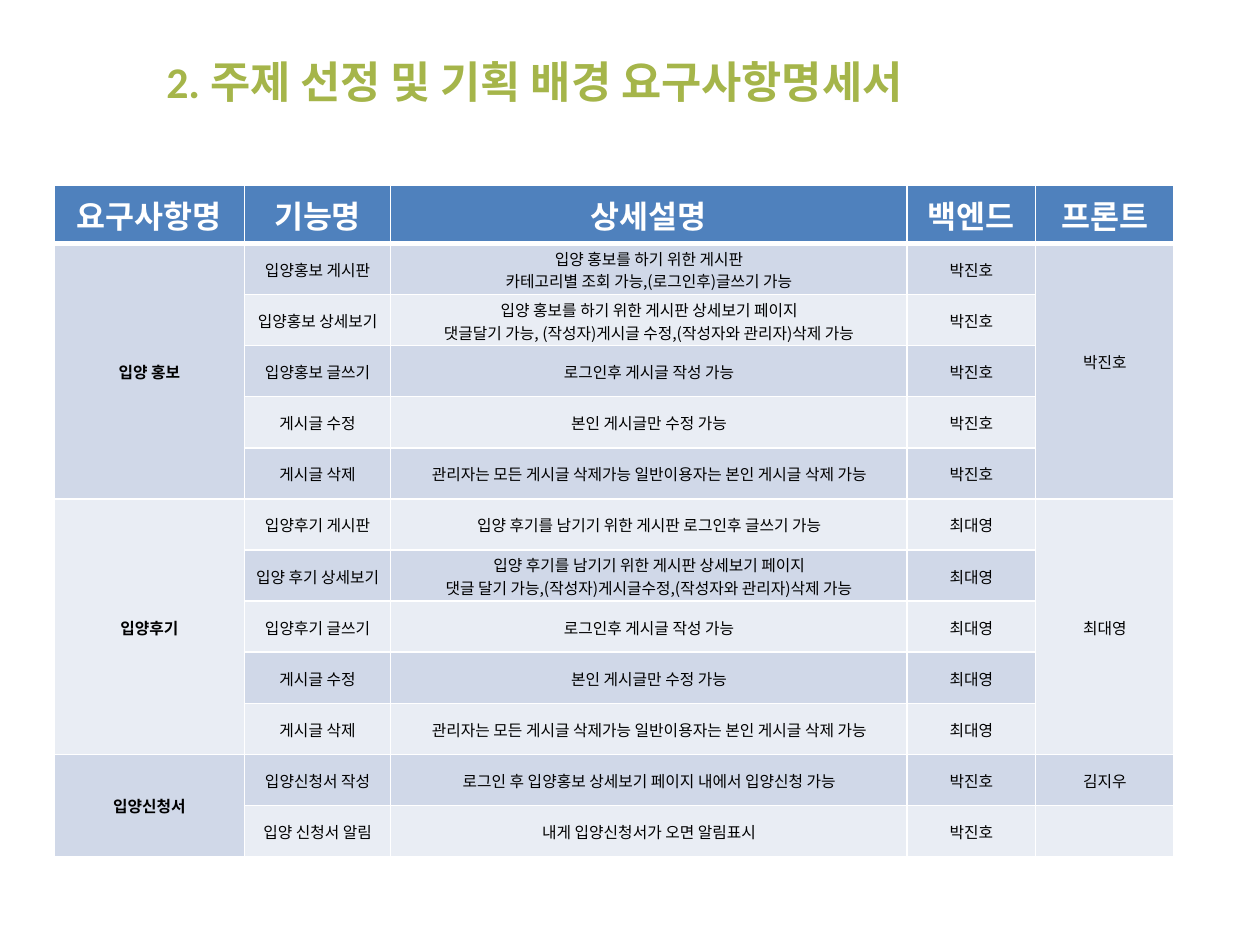
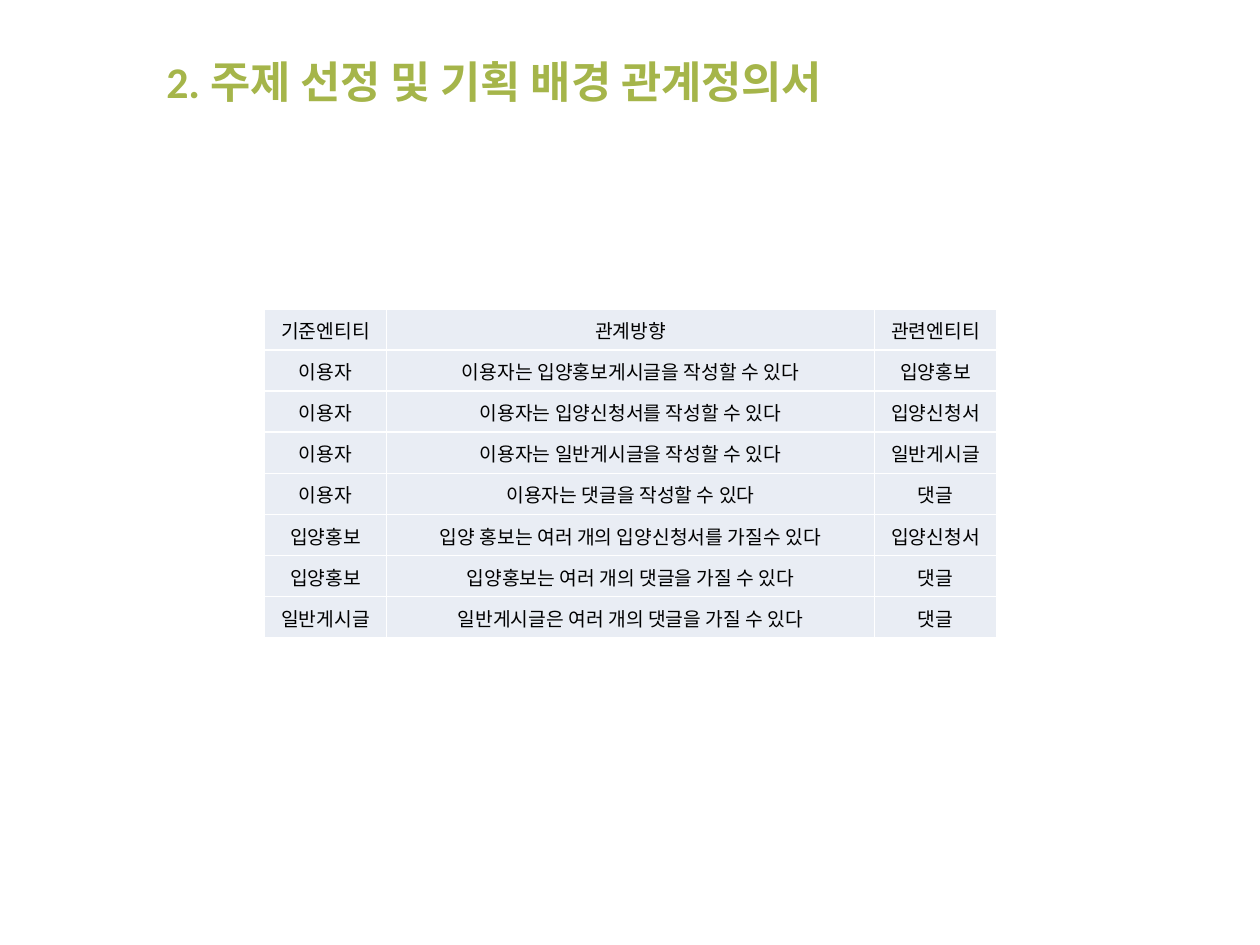
from dataclasses import dataclass

from lxml import etree
from pptx import Presentation
from pptx.dml.color import RGBColor
from pptx.enum.text import MSO_ANCHOR, PP_ALIGN
from pptx.oxml.ns import qn
from pptx.util import Inches, Pt

CENTER, LEFT = PP_ALIGN.CENTER, PP_ALIGN.LEFT
MIDDLE = MSO_ANCHOR.MIDDLE
TITLE_ONLY = 5


@dataclass(frozen=True)
class Theme:
    """Colours, fonts and type sizes shared by the slides."""
    title: str = "A5B54A"
    header: str = "4F81BD"
    band_dark: str = "D0D8E8"
    band_light: str = "E9EDF4"
    white: str = "FFFFFF"
    black: str = "000000"
    latin: str = "Calibri"
    korean: str = "Noto Sans CJK KR"
    title_size: float = 25
    header_size: float = 18
    feature_size: float = 9
    relation_size: float = 11
    rule: float = 1
    header_rule: float = 3


THEME = Theme()
SLIDE_W, SLIDE_H = Inches(10), Inches(7.5)
TITLE_BOX = (0.122, 0.033, 0.828, 0.105)
REQUIREMENTS_BOX = (0.043, 0.196, 0.889, 0.703)
RELATIONS_BOX = (0.21, 0.327, 0.581, 0.348)
REQUIREMENT_COLUMNS = (1.51, 1.16, 4.1, 1.02, 1.1)
RELATION_COLUMNS = (1, 4, 1)

REQUIREMENT_HEADERS = ("요구사항명", "기능명", "상세설명", "백엔드", "프론트")
REQUIREMENT_GROUPS = (
    ("입양 홍보", "박진호", "박진호", True, (
        ("입양홍보 게시판", "입양 홍보를 하기 위한 게시판\v카테고리별 조회 가능,(로그인후)글쓰기 가능"),
        ("입양홍보 상세보기", "입양 홍보를 하기 위한 게시판 상세보기 페이지\v"
                       "댓글달기 가능, (작성자)게시글 수정,(작성자와 관리자)삭제 가능"),
        ("입양홍보 글쓰기", "로그인후 게시글 작성 가능"),
        ("게시글 수정", "본인 게시글만 수정 가능"),
        ("게시글 삭제", "관리자는 모든 게시글 삭제가능 일반이용자는 본인 게시글 삭제 가능"))),
    ("입양후기", "최대영", "최대영", True, (
        ("입양후기 게시판", "입양 후기를 남기기 위한 게시판 로그인후 글쓰기 가능"),
        ("입양 후기 상세보기", "입양 후기를 남기기 위한 게시판 상세보기 페이지\v"
                        "댓글 달기 가능,(작성자)게시글수정,(작성자와 관리자)삭제 가능"),
        ("입양후기 글쓰기", "로그인후 게시글 작성 가능"),
        ("게시글 수정", "본인 게시글만 수정 가능"),
        ("게시글 삭제", "관리자는 모든 게시글 삭제가능 일반이용자는 본인 게시글 삭제 가능"))),
    ("입양신청서", "박진호", "김지우", False, (
        ("입양신청서 작성", "로그인 후 입양홍보 상세보기 페이지 내에서 입양신청 가능"),
        ("입양 신청서 알림", "내게 입양신청서가 오면 알림표시"))),
)
RELATIONS = (
    ("기준엔티티", "관계방향", "관련엔티티"),
    ("이용자", "이용자는 입양홍보게시글을 작성할 수 있다", "입양홍보"),
    ("이용자", "이용자는 입양신청서를 작성할 수 있다", "입양신청서"),
    ("이용자", "이용자는 일반게시글을 작성할 수 있다", "일반게시글"),
    ("이용자", "이용자는 댓글을 작성할 수 있다", "댓글"),
    ("입양홍보", "입양 홍보는 여러 개의 입양신청서를 가질수 있다", "입양신청서"),
    ("입양홍보", "입양홍보는 여러 개의 댓글을 가질 수 있다", "댓글"),
    ("일반게시글", "일반게시글은 여러 개의 댓글을 가질 수 있다", "댓글"),
)


def to_lengths(box):
    """Turn shares of the slide into left, top, width and height."""
    return [round(share * side) for share, side in zip(box, (SLIDE_W, SLIDE_H) * 2)]


def format_text(frame, size, color, bold, align, latin=THEME.latin):
    """Format every run of a text frame alike."""
    for paragraph in frame.paragraphs:
        paragraph.alignment = align
        for run in paragraph.runs:
            font = run.font
            font.size, font.bold, font.name = Pt(size), bold, latin
            font.color.rgb = RGBColor.from_string(color)
            east_asian = etree.SubElement(font._element, qn("a:ea"))
            east_asian.set("typeface", THEME.korean)


def add_titled_slide(prs, title):
    """Add a title-only slide with the shared title style."""
    slide = prs.slides.add_slide(prs.slide_layouts[TITLE_ONLY])
    heading = slide.shapes.title
    heading.left, heading.top, heading.width, heading.height = to_lengths(TITLE_BOX)
    heading.text_frame.text = title
    heading.text_frame.vertical_anchor = MIDDLE
    format_text(heading.text_frame, THEME.title_size, THEME.title, True, LEFT)
    return slide


def add_grid(slide, box, columns, row_count):
    """Add a plain table whose columns share the box by weight."""
    left, top, width, height = to_lengths(box)
    grid = slide.shapes.add_table(row_count, len(columns), left, top, width, height).table
    grid.first_row = grid.horz_banding = False
    for column, weight in zip(grid.columns, columns):
        column.width = round(width * weight / sum(columns))
    for row in grid.rows:
        row.height = height // row_count
    return grid


def paint_cell(cell, fill, bottom_rule=THEME.rule):
    """Give a cell its white borders and its fill."""
    properties = cell._tc.get_or_add_tcPr()
    for side in "LRTB":
        width = bottom_rule if side == "B" else THEME.rule
        line = etree.SubElement(properties, qn(f"a:ln{side}"), w=str(Pt(width)))
        solid = etree.SubElement(line, qn("a:solidFill"))
        etree.SubElement(solid, qn("a:srgbClr"), val=THEME.white)
    cell.fill.solid()
    cell.fill.fore_color.rgb = RGBColor.from_string(fill)
    cell.vertical_anchor = MIDDLE


def tighten(cell):
    """Set the narrow margins of body cells."""
    cell.margin_left = cell.margin_right = cell.margin_top = Inches(0.01)
    cell.margin_bottom = 0


def write_cell(cell, text, size, color=THEME.black, bold=False, latin=THEME.latin):
    """Write centred text in a cell."""
    cell.text_frame.text = text
    format_text(cell.text_frame, size, color, bold, CENTER, latin)


def place_group(grid, first, group):
    """Fill the rows of one requirement group, starting at row first."""
    name, backend, frontend, shared, features = group
    last = first + len(features) - 1
    size = THEME.feature_size
    write_cell(grid.cell(first, 0), name, size, bold=True, latin=THEME.korean)
    write_cell(grid.cell(first, 4), frontend, size)
    for row, texts in enumerate(features, first):
        for column, text in enumerate(texts, 1):
            write_cell(grid.cell(row, column), text, size, latin=THEME.korean)
        write_cell(grid.cell(row, 3), backend, size)
    for column in (0, 4) if shared else (0,):
        grid.cell(first, column).merge(grid.cell(last, column))
    return last + 1


def place_requirements(slide, box):
    """Place the requirement table with its header and groups."""
    row_count = 1 + sum(len(group[-1]) for group in REQUIREMENT_GROUPS)
    grid = add_grid(slide, box, REQUIREMENT_COLUMNS, row_count)
    grid.first_row = True
    for column, text in enumerate(REQUIREMENT_HEADERS):
        header = grid.cell(0, column)
        paint_cell(header, THEME.header, THEME.header_rule)
        write_cell(header, text, THEME.header_size, THEME.white, True)
    for row in range(1, row_count):
        for column in range(len(REQUIREMENT_COLUMNS)):
            cell = grid.cell(row, column)
            paint_cell(cell, THEME.band_dark if row % 2 else THEME.band_light)
            tighten(cell)
    first = 1
    for group in REQUIREMENT_GROUPS:
        first = place_group(grid, first, group)
    grid.cell(1, 4).margin_bottom = Inches(0.16)


def place_relations(slide, box):
    """Place the entity relation table."""
    grid = add_grid(slide, box, RELATION_COLUMNS, len(RELATIONS))
    for row, texts in enumerate(RELATIONS):
        for column, text in enumerate(texts):
            cell = grid.cell(row, column)
            paint_cell(cell, THEME.band_light)
            tighten(cell)
            write_cell(cell, text, THEME.relation_size)


def main():
    """Build and save the presentation."""
    prs = Presentation()
    prs.slide_width, prs.slide_height = SLIDE_W, SLIDE_H
    topic = "2. 주제 선정 및 기획 배경"
    place_requirements(add_titled_slide(prs, f"{topic} 요구사항명세서"), REQUIREMENTS_BOX)
    place_relations(add_titled_slide(prs, f"{topic} 관계정의서"), RELATIONS_BOX)
    prs.save("out.pptx")


if __name__ == "__main__":
    main()
